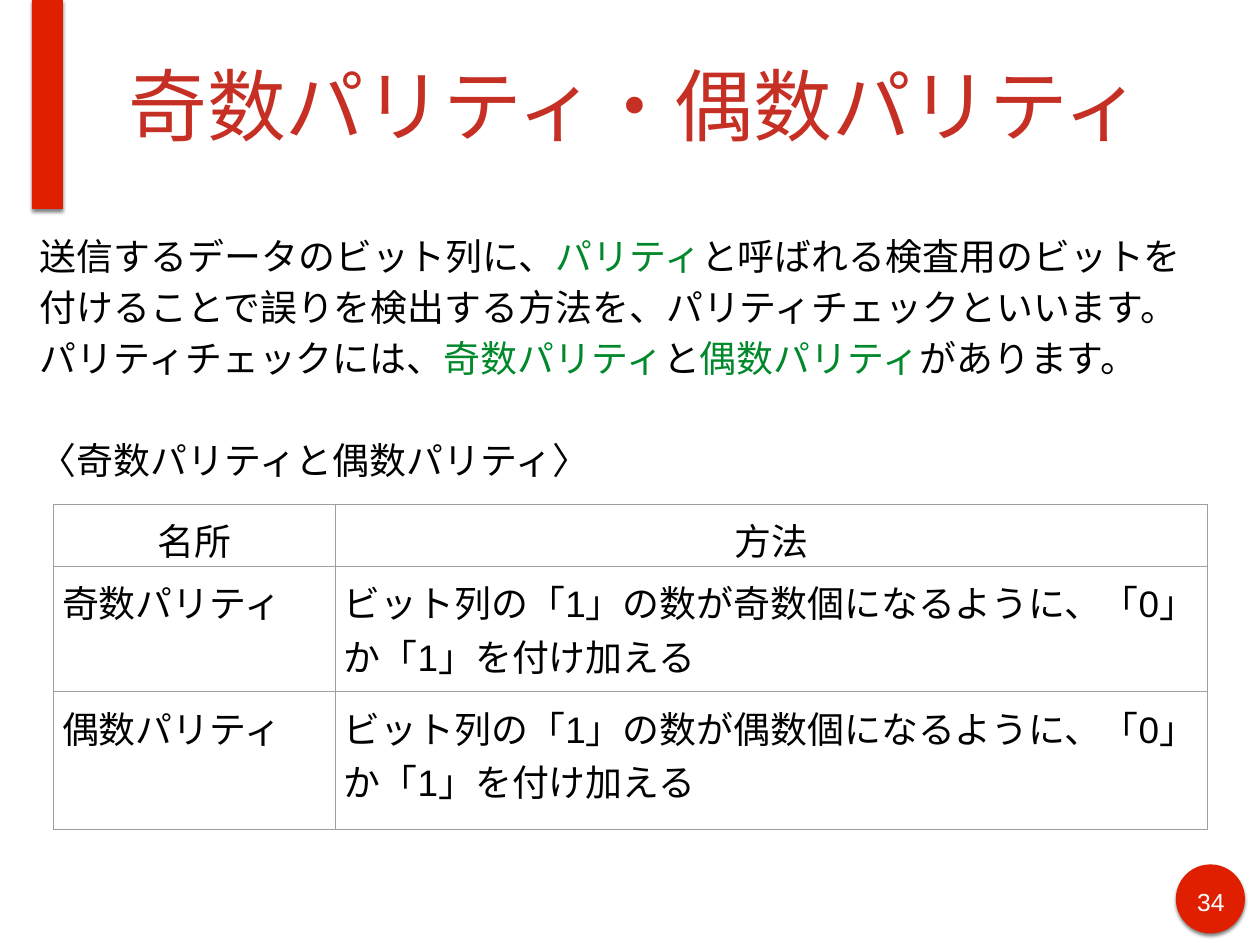
from lxml.etree import SubElement
from pptx import Presentation
from pptx.dml.color import RGBColor as RGB
from pptx.enum.shapes import MSO_SHAPE as SHAPE
from pptx.enum.text import MSO_ANCHOR as ANCHOR, PP_ALIGN as ALIGN
from pptx.oxml.ns import qn
from pptx.util import Pt

PX = 9144  # EMU: 100 px to the inch
COLORS = {"red": "DF1F00", "title": "C63024", "green": "00882B",
          "black": "000000", "white": "FFFFFF", "border": "9E9E9E"}
INSET = 6
CELL_INSET = 10
BODY = [
    ({"line_spacing": 1.15}, [
        ("送信するデータのビット列に、", "black"),
        ("パリティ", "green"),
        ("と呼ばれる検査用のビットを付けることで誤りを検出する方法を、"
         "パリティチェックといいます。パリティチェックには、", "black"),
        ("奇数パリティ", "green"),
        ("と", "black"),
        ("偶数パリティ", "green"),
        ("があります。", "black")]),
    ({"line_spacing": 1.15, "space_before": Pt(42)},
     [("〈奇数パリティと偶数パリティ〉", "black")]),
]
COL_WIDTHS = [318, 985]
ROW_HEIGHTS = [70, 142, 156]
METHOD = "ビット列の「1」の数が{}個になるように、「0」か「1」を付け加える"
ROWS = [("名所", "方法")] + [
    (f"{kind}パリティ", METHOD.format(kind)) for kind in ("奇数", "偶数")]


def emu(*lengths):
    return [n * PX for n in lengths]


def set_attrs(obj, values):
    for name, value in values.items():
        setattr(obj, name, value)


def margins(px):
    return {f"margin_{side}": px * PX for side in ("left", "top", "right", "bottom")}


def write(p, runs, size, fmt):
    """Fill a paragraph with (text, colour name) runs."""
    set_attrs(p, fmt)
    for text, color in runs:
        r = p.add_run()
        r.text = text
        set_attrs(r.font, {"name": "Arial", "size": Pt(size)})
        r.font.color.rgb = RGB.from_string(COLORS[color])


def add_text(slide, box, paragraphs, size, anchor=ANCHOR.TOP):
    tf = slide.shapes.add_textbox(*emu(*box)).text_frame
    set_attrs(tf, {"word_wrap": True, "vertical_anchor": anchor, **margins(INSET)})
    for i, (fmt, runs) in enumerate(paragraphs):
        write(tf.add_paragraph() if i else tf.paragraphs[0], runs, size, fmt)


def add_accent(slide, kind, box):
    """Add a red shape with a soft shadow straight below it."""
    sp = slide.shapes.add_shape(kind, *emu(*box))
    sp.shadow.inherit = False
    sp.fill.solid()
    sp.fill.fore_color.rgb = RGB.from_string(COLORS["red"])
    sp.line.fill.background()
    effects = sp._element.spPr.find(qn("a:effectLst"))
    shadow = SubElement(effects, qn("a:outerShdw"), blurRad=str(Pt(3)),
                        dist=str(Pt(2)), dir="5400000", rotWithShape="0")
    color = SubElement(shadow, qn("a:srgbClr"), val=COLORS["black"])
    SubElement(color, qn("a:alpha"), val="49000")


def add_borders(cell):
    tcPr = cell._tc.get_or_add_tcPr()
    for i, side in enumerate(("lnL", "lnR", "lnT", "lnB")):
        ln = tcPr.makeelement(qn(f"a:{side}"), {"w": str(Pt(0.75))})
        fill = SubElement(ln, qn("a:solidFill"))
        SubElement(fill, qn("a:srgbClr"), val=COLORS["border"])
        tcPr.insert(i, ln)


def add_parity_table(slide, left, top):
    frame = slide.shapes.add_table(
        len(ROWS), len(COL_WIDTHS),
        *emu(left, top, sum(COL_WIDTHS), sum(ROW_HEIGHTS)))
    table = frame.table
    set_attrs(table, {"first_row": False, "horz_banding": False})
    for col, width in zip(table.columns, COL_WIDTHS):
        col.width = width * PX
    for i, (row, height) in enumerate(zip(table.rows, ROW_HEIGHTS)):
        row.height = height * PX
        align = ALIGN.LEFT if i else ALIGN.CENTER
        for cell, text in zip(row.cells, ROWS[i]):
            set_attrs(cell, margins(CELL_INSET))
            cell.fill.background()
            add_borders(cell)
            write(cell.text_frame.paragraphs[0], [(text, "black")], 30,
                  {"alignment": align})


def main():
    prs = Presentation()
    set_attrs(prs, {"slide_width": 1422 * PX, "slide_height": 1067 * PX})
    slide = prs.slides.add_slide(prs.slide_layouts[6])
    add_accent(slide, SHAPE.OVAL, (1327, 976, 78, 78))
    add_accent(slide, SHAPE.RECTANGLE, (36, 0, 35, 236))
    add_text(slide, (139, 0, 1176, 236),
             [({}, [("奇数パリティ・偶数パリティ", "title")])], 64, ANCHOR.MIDDLE)
    add_text(slide, (1342, 995, 49, 45),
             [({"alignment": ALIGN.CENTER}, [("34", "white")])], 20)
    add_text(slide, (39, 250, 1316, 732), BODY, 30)
    add_parity_table(slide, 60, 569)
    prs.save("out.pptx")


if __name__ == "__main__":
    main()
